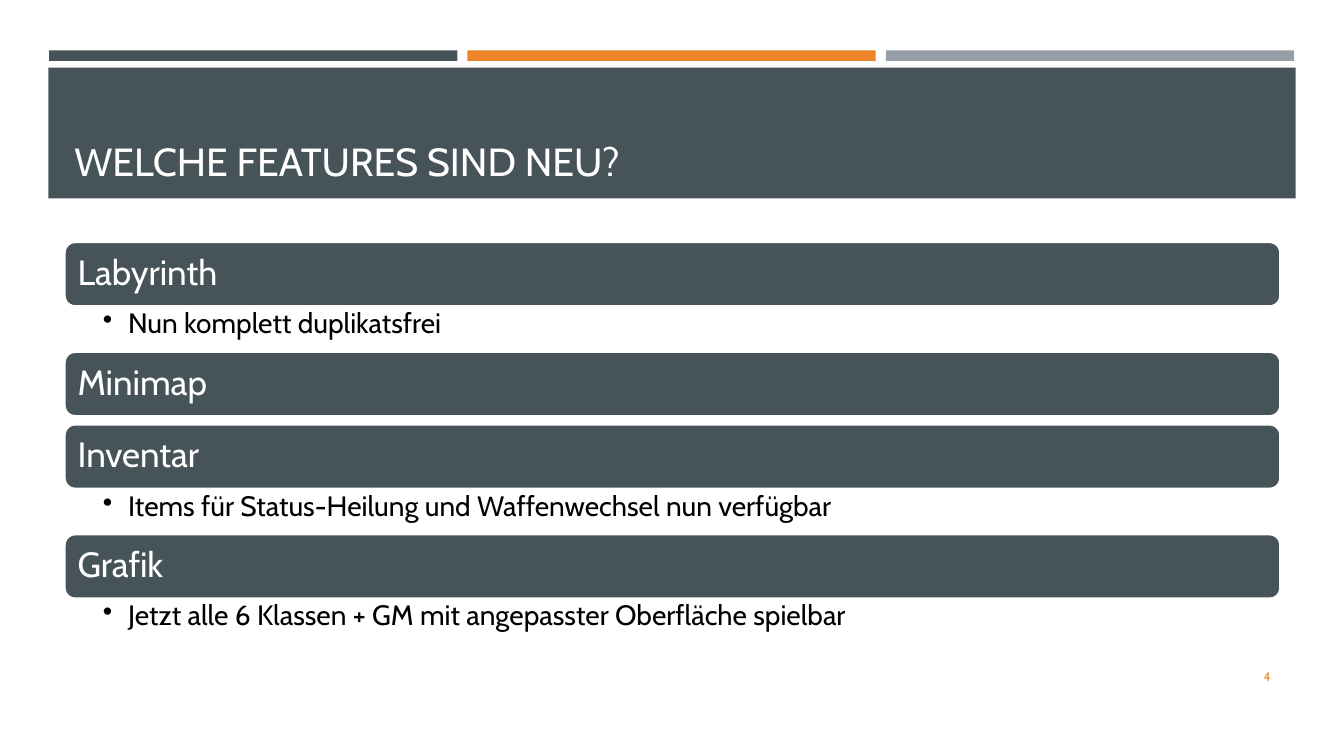
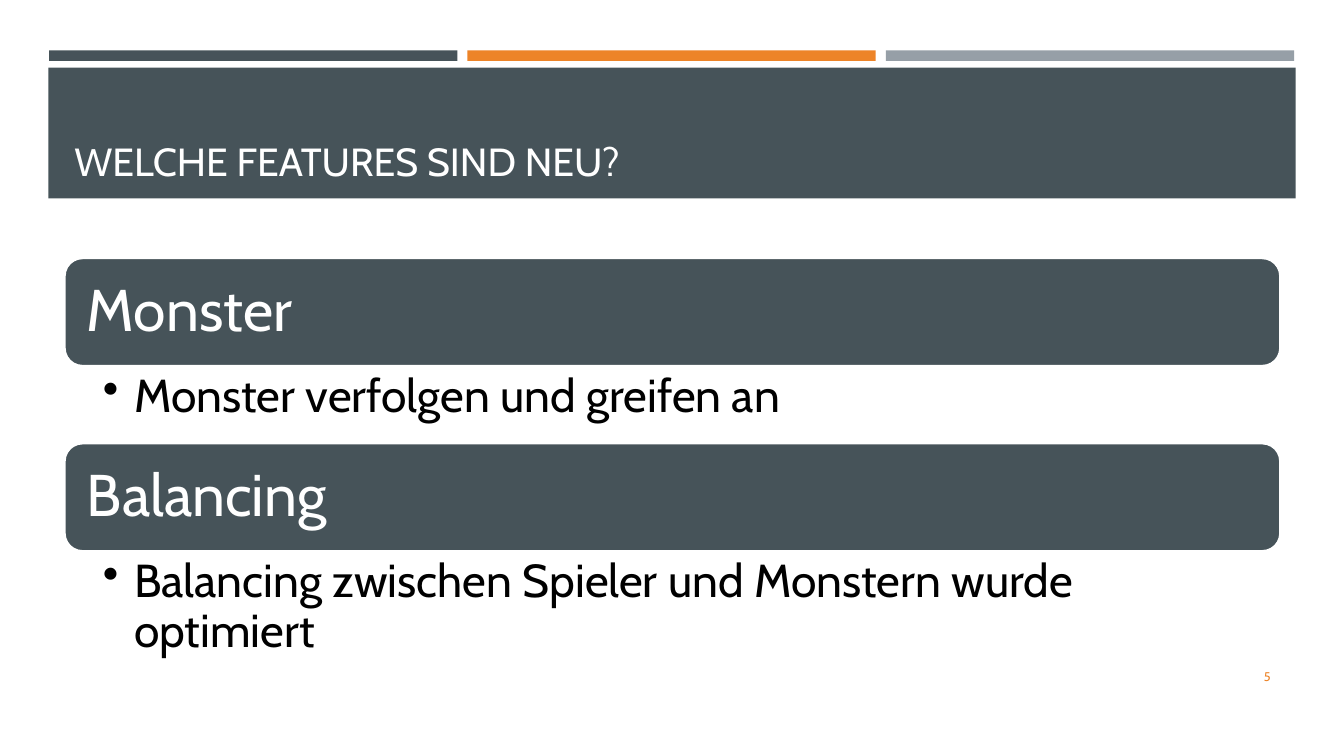
from dataclasses import dataclass

from lxml.etree import SubElement
from pptx import Presentation
from pptx.dml.color import RGBColor
from pptx.enum.shapes import MSO_SHAPE as Preset
from pptx.enum.text import MSO_ANCHOR as Anchor, PP_ALIGN as Align
from pptx.oxml.ns import qn
from pptx.shapes.autoshape import Shape
from pptx.slide import Slide
from pptx.util import Inches, Length, Pt


@dataclass(frozen=True)
class Theme:
    font: str = "Cabin"
    slate: str = "465359"
    orange: str = "ED8428"
    grey: str = "969FA7"
    white: str = "FFFFFF"
    black: str = "000000"
    title_size: int = 28
    number_size: int = 9
    outline: float = 1.75
    line_spacing: float = 0.9


@dataclass(frozen=True)
class Area:
    left: float
    top: float
    width: float
    height: float


@dataclass(frozen=True)
class Insets:
    left: float
    top: float
    right: float
    bottom: float


@dataclass(frozen=True)
class ListStyle:
    top: float
    heading_height: float
    detail_height: float
    gap: float
    heading_size: int
    detail_size: int
    heading_inset: float
    detail_insets: Insets
    indent: float


@dataclass(frozen=True)
class Feature:
    heading: str
    detail: str = ""


@dataclass(frozen=True)
class FeaturePage:
    style: ListStyle
    features: tuple[Feature, ...]


THEME = Theme()
SLIDE_WIDTH, SLIDE_HEIGHT = Inches(13.33), Inches(7.5)
CONTENT_LEFT, CONTENT_WIDTH = 4.8, 90.47
STRIP_LEFT, STRIP_WIDTH, STRIP_STEP = 3.65, 30.38, 31.13
TITLE = "WELCHE FEATURES SIND NEU?"
FIRST_NUMBER = 4

COMPACT = ListStyle(
    top=32, heading_height=8.53, detail_height=6, gap=1.07,
    heading_size=25, detail_size=20, heading_inset=0.75,
    detail_insets=Insets(2.85, 0.23, 1.43, 0.23), indent=1.88,
)
LARGE = ListStyle(
    top=34.13, heading_height=14.3, detail_height=10.2, gap=1.8,
    heading_size=42, detail_size=33, heading_inset=1.28,
    detail_insets=Insets(2.85, 0.45, 2.48, 0.45), indent=2.33,
)
PAGES = (
    FeaturePage(COMPACT, (
        Feature("Labyrinth", "Nun komplett duplikatsfrei"),
        Feature("Minimap"),
        Feature("Inventar", "Items für Status-Heilung und Waffenwechsel nun verfügbar"),
        Feature("Grafik", "Jetzt alle 6 Klassen + GM mit angepasster Oberfläche spielbar"),
    )),
    FeaturePage(LARGE, (
        Feature("Monster", "Monster verfolgen und greifen an"),
        Feature("Balancing", "Balancing zwischen Spieler und Monstern wurde optimiert"),
    )),
)


def across(percent: float) -> Length:
    return Length(round(SLIDE_WIDTH * percent / 100))


def down(percent: float) -> Length:
    return Length(round(SLIDE_HEIGHT * percent / 100))


def place(area: Area) -> tuple[Length, Length, Length, Length]:
    return across(area.left), down(area.top), across(area.width), down(area.height)


def add_block(page: Slide, area: Area, color: str, *,
              preset: Preset = Preset.RECTANGLE, outline: str = "") -> Shape:
    block = page.shapes.add_shape(preset, *place(area))
    block.shadow.inherit = False
    block.fill.solid()
    block.fill.fore_color.rgb = RGBColor.from_string(color)
    if outline:
        block.line.color.rgb = RGBColor.from_string(outline)
        block.line.width = Pt(THEME.outline)
    else:
        block.line.fill.background()
    return block


def add_box(page: Slide, area: Area) -> Shape:
    return page.shapes.add_textbox(*place(area))


def write(box: Shape, text: str, *, size: int, color: str,
          anchor: Anchor = Anchor.TOP, align: Align = Align.LEFT,
          insets: Insets | None = None, line_spacing: float = 1.0,
          bullet_indent: float = 0) -> None:
    frame = box.text_frame
    frame.word_wrap = True
    frame.vertical_anchor = anchor
    if insets:
        frame.margin_left, frame.margin_right = across(insets.left), across(insets.right)
        frame.margin_top, frame.margin_bottom = across(insets.top), across(insets.bottom)
    para = frame.paragraphs[0]
    para.alignment = align
    para.line_spacing = line_spacing
    if bullet_indent:
        properties = para._p.get_or_add_pPr()
        properties.set("marL", str(across(bullet_indent)))
        properties.set("indent", str(-across(bullet_indent)))
        SubElement(properties, qn("a:buChar")).set("char", "•")
    span = para.add_run()
    span.text = text
    span.font.name = THEME.font
    span.font.size = Pt(size)
    span.font.color.rgb = RGBColor.from_string(color)


def draw_frame(page: Slide, number: int) -> None:
    for column, color in enumerate((THEME.slate, THEME.orange, THEME.grey)):
        left = STRIP_LEFT + column * STRIP_STEP
        add_block(page, Area(left, 6.67, STRIP_WIDTH, 1.4), color)
    add_block(page, Area(3.6, 8.93, 92.8, 17.33), THEME.slate)
    title = add_box(page, Area(CONTENT_LEFT, 10.27, CONTENT_WIDTH, 14.8))
    write(title, TITLE, size=THEME.title_size, color=THEME.white, anchor=Anchor.BOTTOM)
    footer = add_box(page, Area(86.65, 86.8, 8.63, 5.33))
    write(footer, str(number), size=THEME.number_size, color=THEME.orange,
          anchor=Anchor.MIDDLE, align=Align.RIGHT)


def draw_features(page: Slide, features: tuple[Feature, ...], style: ListStyle) -> None:
    top = style.top
    for feature in features:
        area = Area(CONTENT_LEFT, top, CONTENT_WIDTH, style.heading_height)
        heading = add_block(page, area, THEME.slate,
                            preset=Preset.ROUNDED_RECTANGLE, outline=THEME.white)
        write(heading, feature.heading, size=style.heading_size, color=THEME.white,
              anchor=Anchor.MIDDLE, insets=Insets(*[style.heading_inset] * 4),
              line_spacing=THEME.line_spacing)
        top += style.heading_height
        if feature.detail:
            detail = add_box(page, Area(CONTENT_LEFT, top, CONTENT_WIDTH, style.detail_height))
            write(detail, feature.detail, size=style.detail_size, color=THEME.black,
                  insets=style.detail_insets, line_spacing=THEME.line_spacing,
                  bullet_indent=style.indent)
            top += style.detail_height
        else:
            top += style.gap


def main() -> None:
    deck = Presentation()
    deck.slide_width, deck.slide_height = SLIDE_WIDTH, SLIDE_HEIGHT
    blank = deck.slide_layouts[6]
    for number, content in enumerate(PAGES, start=FIRST_NUMBER):
        page = deck.slides.add_slide(blank)
        draw_frame(page, number)
        draw_features(page, content.features, content.style)
    deck.save("out.pptx")


main()
